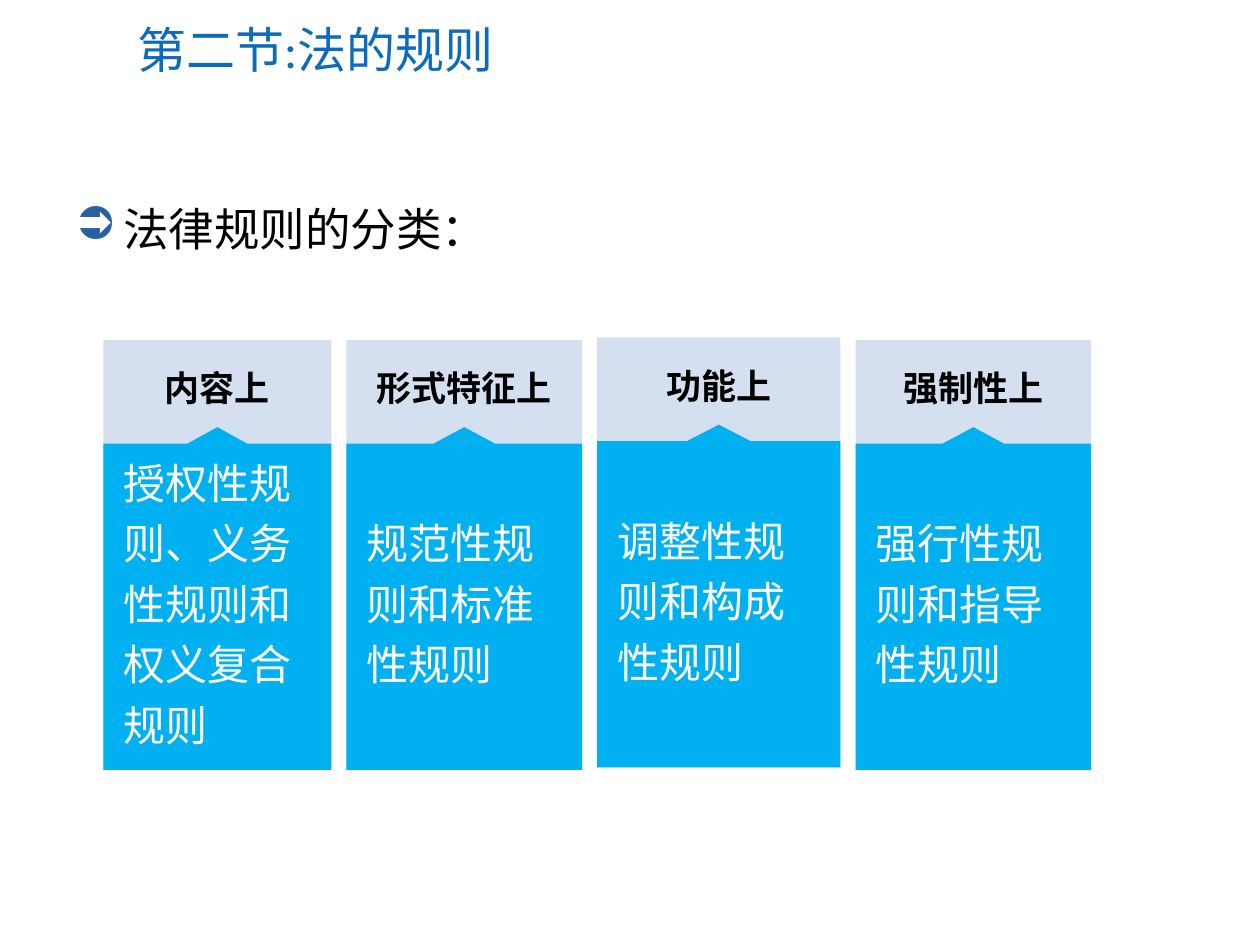
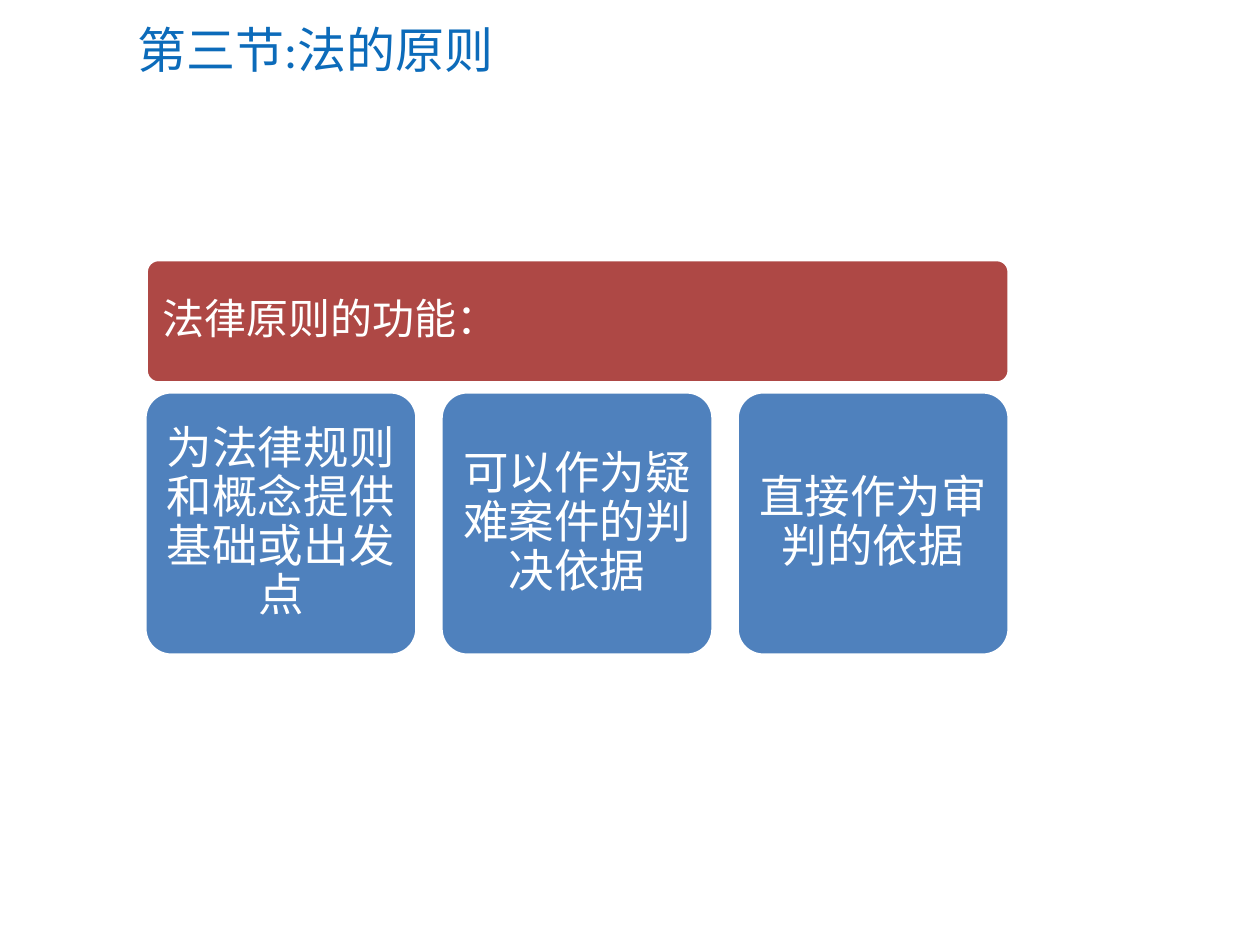
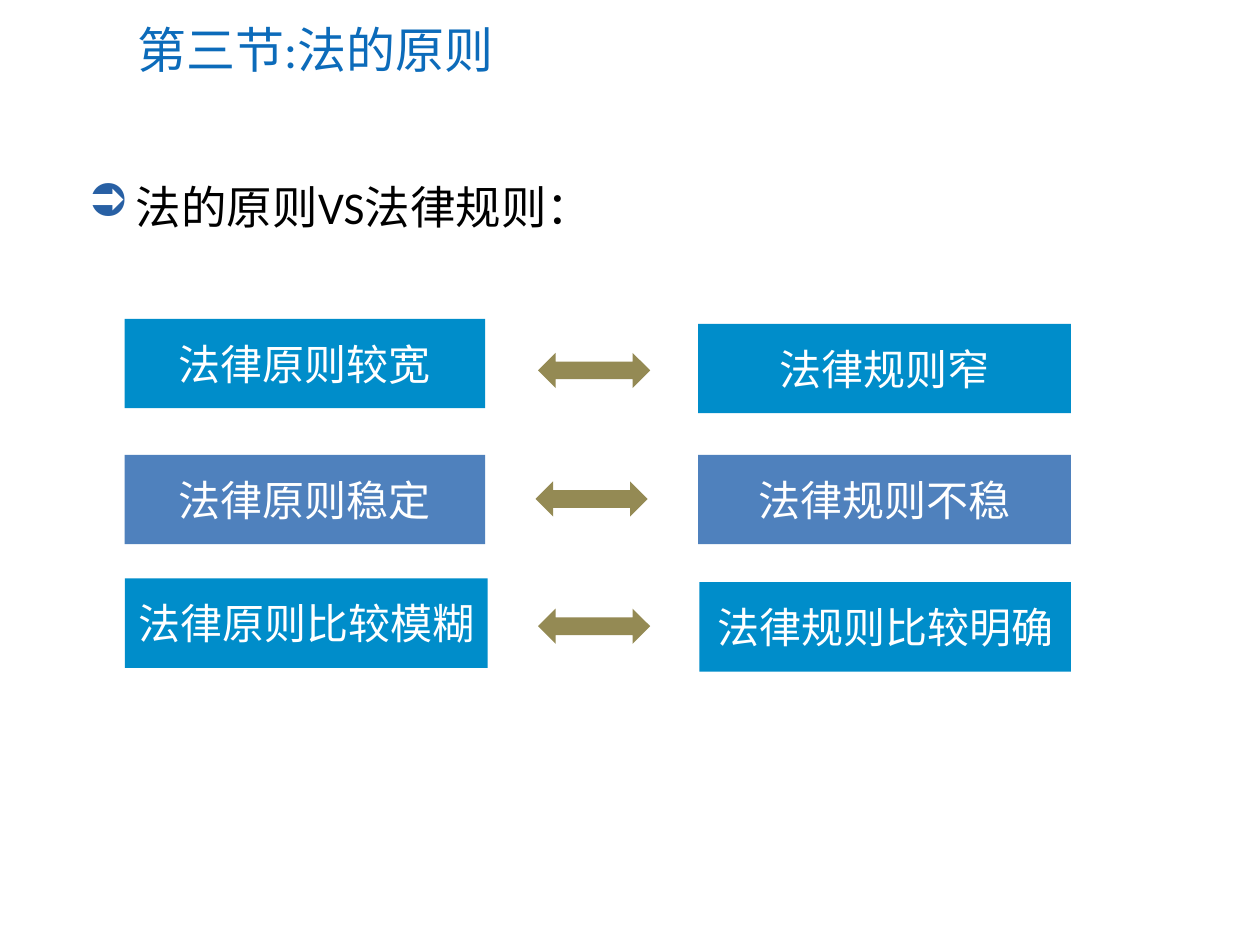
import pptx
import pptx.util
import pptx.dml.color
import pptx.enum.shapes
import pptx.enum.text
import pptx.oxml
import pptx.oxml.ns
from lxml import etree

Inches = pptx.util.Inches
Pt = pptx.util.Pt
KIND = pptx.enum.shapes.MSO_SHAPE
ALIGN = pptx.enum.text.PP_ALIGN
ANCHOR = pptx.enum.text.MSO_ANCHOR
qn = pptx.oxml.ns.qn

# Content
RULES = {
    "title": "第二节:法的规则",
    "lead": "法律规则的分类：",
    "cards": [  # head, text, width, top
        ("内容上", "授权性规则、义务性规则和权义复合规则", 1.81, 2.7),
        ("形式特征上", "规范性规则和标准性规则", 1.87, 2.7),
        ("功能上", "调整性规则和构成性规则", 1.93, 2.68),
        ("强制性上", "强行性规则和指导性规则", 1.87, 2.7),
    ],
}
ROLES = {
    "title": "第三节:法的原则",
    "banner": "法律原则的功能：",
    "tiles": ["为法律规则和概念提供基础或出发点", "可以作为疑难案件的判决依据",
              "直接作为审判的依据"],
}
VERSUS = {
    "title": "第三节:法的原则",
    "lead": "法的原则VS法律规则：",
    "rows": [  # left, right, fill, left top, right top, left width, right start, arrow at
        ("法律原则较宽", "法律规则窄", "cyan", 2.53, 2.57, 2.86, 5.54, (4.27, 2.8)),
        ("法律原则稳定", "法律规则不稳", "blue", 3.61, 3.61, 2.86, 5.54, (4.25, 3.82)),
        ("法律原则比较模糊", "法律规则比较明确", "cyan", 4.59, 4.62, 2.88, 5.55, (4.27, 4.83)),
    ],
}

# Shared look
HUES = {"title": "0C6BBA", "mark": "2860A4", "black": "000000", "white": "FFFFFF",
        "pale": "95B3D7", "sky": "00B0F0", "red": "AE4845", "blue": "4F81BD",
        "cyan": "008DCA", "olive": "948A54"}
LATIN, HAN = "Calibri", "Noto Sans CJK SC"


def hue(name):
    return pptx.dml.color.RGBColor.from_string(HUES[name])


def write(shape, text, size=24, color="white", font=LATIN, bold=False, align=ALIGN.LEFT,
          anchor=ANCHOR.MIDDLE, pad=(0.1, 0.05), lines=None, before=0.2, after=0):
    """Put one formatted paragraph in a shape; before and after are shares of the size."""
    frame = shape.text_frame
    frame.word_wrap = True
    frame.auto_size = pptx.enum.text.MSO_AUTO_SIZE.NONE
    frame.vertical_anchor = anchor
    frame.margin_left = frame.margin_right = Inches(pad[0])
    frame.margin_top = frame.margin_bottom = Inches(pad[1])
    para = frame.paragraphs[0]
    para.alignment = align
    para.space_before, para.space_after = Pt(size * before), Pt(size * after)
    if lines:
        para.line_spacing = lines
    run = para.add_run()
    run.text = text
    run.font.name, run.font.size, run.font.bold = font, Pt(size), bold
    run.font.color.rgb = hue(color)
    props = run.font._element
    props.set("lang", "zh-CN")
    east = etree.SubElement(props, qn("a:ea"))
    east.set("typeface", HAN)
    return para


def paint(shape, fill, line=None):
    shape.shadow.inherit = False
    shape.fill.solid()
    shape.fill.fore_color.rgb = hue(fill)
    if line:
        shape.line.color.rgb = hue(line)
        shape.line.width = Pt(2)
    else:
        shape.line.fill.background()
    return shape


def block(home, kind, box, fill, line=None):
    return paint(home.add_shape(kind, *map(Inches, box)), fill, line)


def start(deck, title):
    slide = deck.slides.add_slide(deck.slide_layouts[5])
    head = slide.shapes.title
    head.left, head.top, head.width, head.height = map(Inches, (0.99, 0.1, 8.72, 0.58))
    write(head, title, size=28, color="title", before=0)
    return slide.shapes


def lead(home, text, box):
    """Add the bulleted line above a diagram."""
    para = write(home.add_textbox(*map(Inches, box)), text, size=26, color="black",
                 anchor=ANCHOR.TOP)
    props = para._p.get_or_add_pPr()
    props.set("marL", str(Inches(0.38)))
    props.set("indent", str(-Inches(0.38)))
    tint = etree.SubElement(props, qn("a:buClr"))
    etree.SubElement(tint, qn("a:srgbClr")).set("val", HUES["mark"])
    etree.SubElement(props, qn("a:buChar")).set("char", "➲")


def card(home, head, text, left, top, wide):
    """Add a pale panel with a notched body and a heading."""
    tall, peak, rise = 3.41, top + 0.69, 0.13
    panel = block(home, KIND.RECTANGLE, (left, top, wide, tall), "pale")
    shade = panel._element.spPr.find(qn("a:solidFill"))[0]
    etree.SubElement(shade, qn("a:alpha")).set("val", "40000")

    mid, half, edge = left + wide / 2, wide * 0.13, peak + rise
    points = [(mid, peak), (mid + half, edge), (left + wide, edge), (left + wide, top + tall),
              (left, top + tall), (left, edge), (mid - half, edge)]
    points = [(Inches(x), Inches(y)) for x, y in points]
    pen = home.build_freeform(*points[0])
    pen.add_line_segments(points[1:], close=True)
    write(paint(pen.convert_to_shape(), "sky"), text, pad=(0.16, 0.05), lines=1.2)

    label = home.add_textbox(*map(Inches, (left, top + 0.16, wide, 0.44)))
    write(label, head, size=20, color="black", font=HAN, bold=True, align=ALIGN.CENTER,
          anchor=ANCHOR.TOP)


def rules(deck):
    home = start(deck, RULES["title"])
    lead(home, RULES["lead"], (0.5, 1.55, 9, 0.59))
    left, gap = 0.82, 0.12
    for head, text, wide, top in RULES["cards"]:
        card(home.add_group_shape().shapes, head, text, left, top, wide)
        left += wide + gap


def roles(deck):
    home = start(deck, ROLES["title"]).add_group_shape().shapes
    banner = block(home, KIND.ROUNDED_RECTANGLE, (1.16, 2.06, 6.85, 0.98), "red", "white")
    banner.adjustments[0] = 0.1
    write(banner, ROLES["banner"], pad=(0.1, 0.1), lines=0.9, before=0, after=0.35)
    wide, gap = 2.16, 0.19
    for i, text in enumerate(ROLES["tiles"]):
        box = (1.15 + i * (wide + gap), 3.11, wide, 2.09)
        tile = block(home, KIND.ROUNDED_RECTANGLE, box, "blue", "white")
        tile.adjustments[0] = 0.1
        write(tile, text, size=26, align=ALIGN.CENTER, pad=(0.11, 0.11), lines=0.9,
              before=0, after=0.35)


def versus(deck):
    home = start(deck, VERSUS["title"])
    lead(home, VERSUS["lead"], (0.6, 1.37, 7.56, 0.76))
    tall, end = 0.71, 8.5
    for one, two, fill, top, low, wide, near, spot in VERSUS["rows"]:
        for text, box in ((one, (0.99, top, wide, tall)), (two, (near, low, end - near, tall))):
            write(block(home, KIND.RECTANGLE, box, fill), text, align=ALIGN.CENTER)
        block(home, KIND.LEFT_RIGHT_ARROW, (*spot, 0.89, 0.28), "olive")


def main():
    deck = pptx.Presentation()
    deck.slide_width, deck.slide_height = Inches(10), Inches(7.5)
    for build in (rules, roles, versus):
        build(deck)
    deck.save("out.pptx")


if __name__ == "__main__":
    main()
